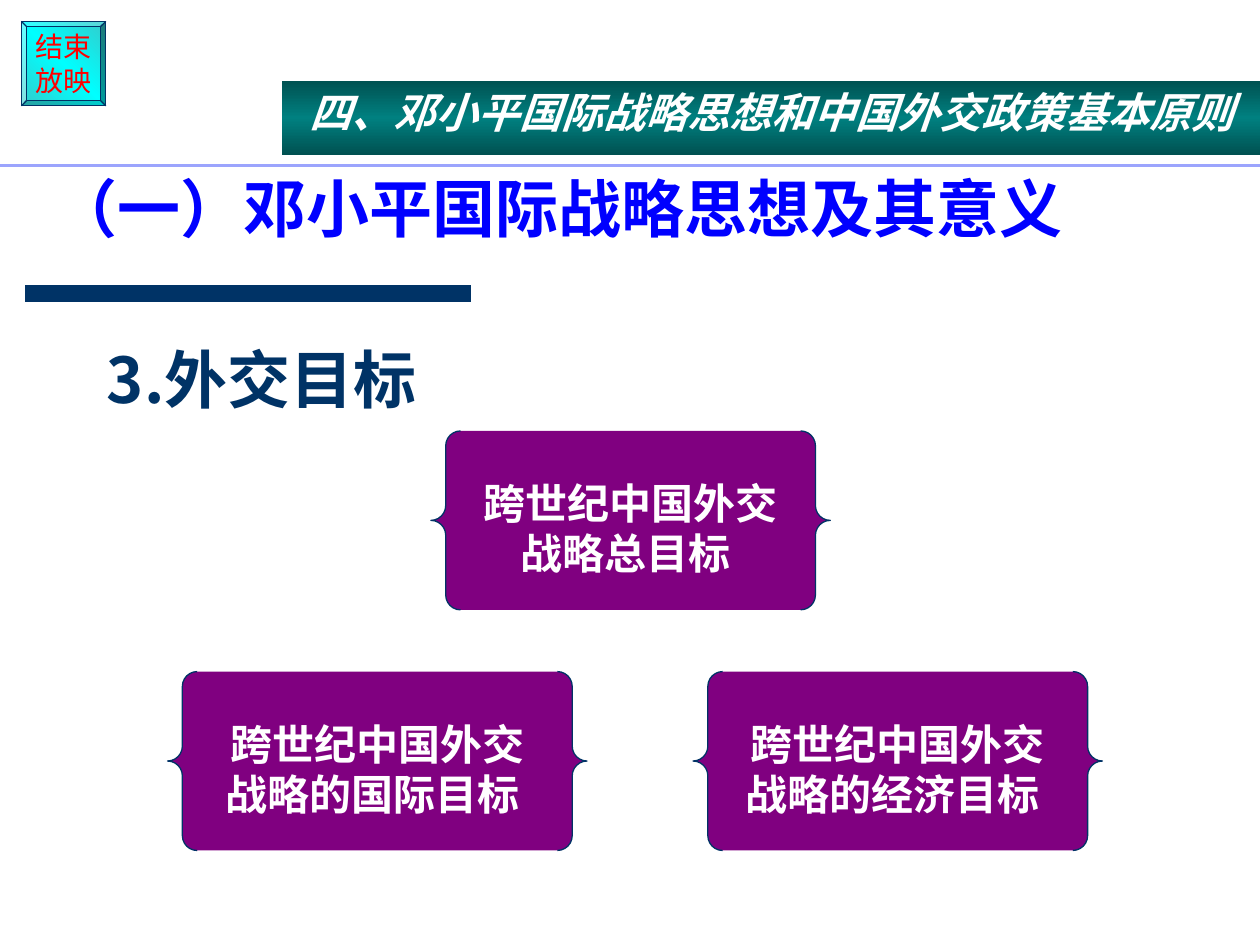
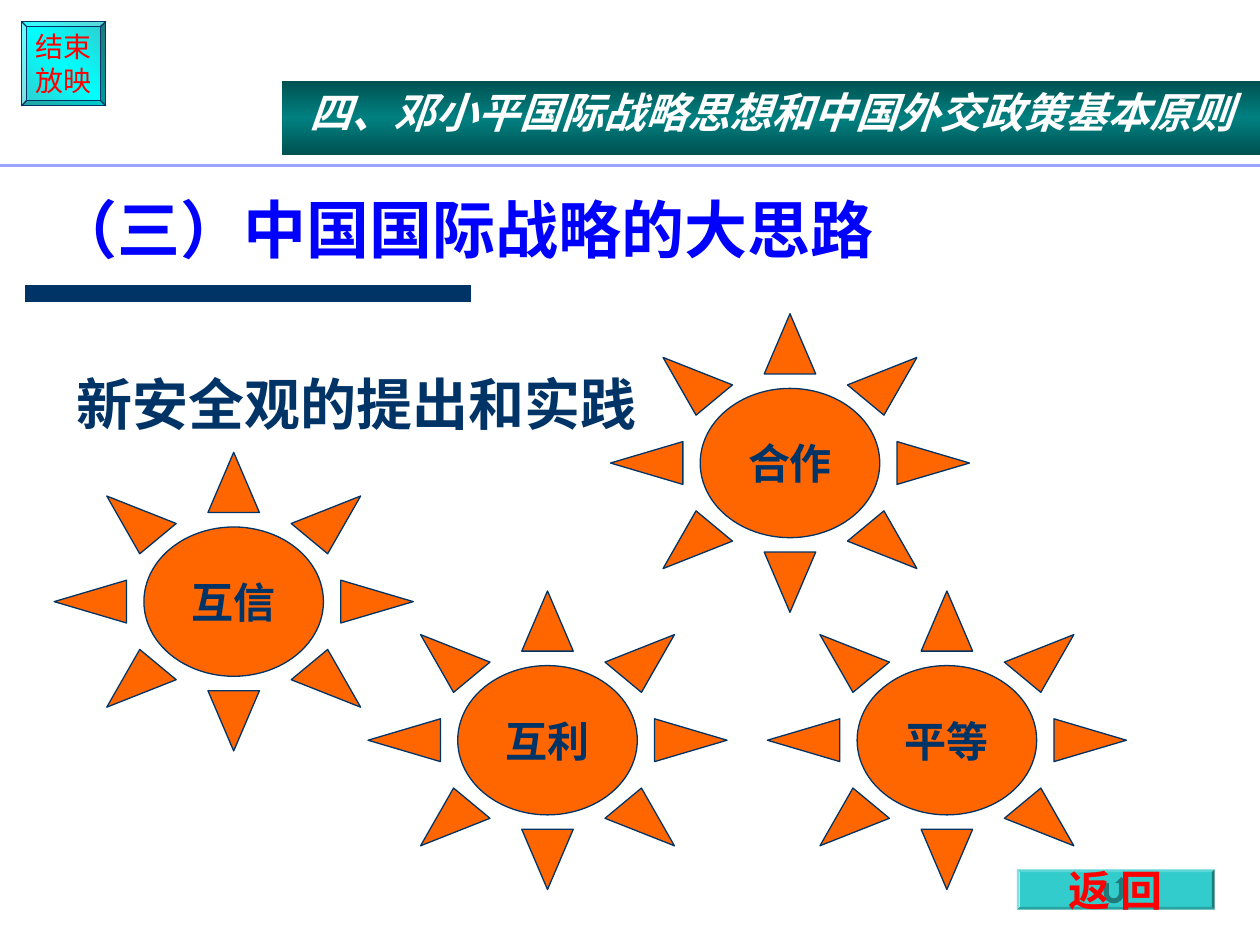
from copy import deepcopy
from math import cos, pi, sin

from lxml import etree
from pptx import Presentation
from pptx.dml.color import RGBColor
from pptx.enum.shapes import MSO_CONNECTOR, MSO_SHAPE as Shape
from pptx.enum.text import MSO_ANCHOR as Anchor, MSO_AUTO_SIZE as AutoSize, PP_ALIGN as Align
from pptx.oxml.ns import qn
from pptx.util import Inches, Pt

NAVY = RGBColor(0x00, 0x33, 0x66)
BLUE = RGBColor(0x00, 0x00, 0xFF)
RED = RGBColor(0xFF, 0x00, 0x00)
WHITE = RGBColor(0xFF, 0xFF, 0xFF)
PURPLE = RGBColor(0x80, 0x00, 0x80)
ORANGE = RGBColor(0xFF, 0x66, 0x00)
LAVENDER = RGBColor(0x9B, 0xA4, 0xFD)
TEAL = RGBColor(0x00, 0x80, 0x80)
DARK_TEAL = RGBColor(0x00, 0x51, 0x51)
TURQUOISE = RGBColor(0x33, 0xCC, 0xCC)
CYAN = RGBColor(0x00, 0xFF, 0xFF)
ARROW_TEAL = RGBColor(0x1F, 0x7A, 0x7A)

CJK = "Noto Sans CJK SC"
LATIN = "Arial"
WIDTH, HEIGHT = 10, 7.5
CHAPTER = "四、邓小平国际战略思想和中国外交政策基本原则"


def inches(*lengths):
    return [Inches(length) for length in lengths]


def write(frame, lines, size, color, font=CJK, bold=True, italic=False,
          align=Align.CENTER, before=None, spacing=None):
    """Fill a text frame with one paragraph per line."""
    for index, line in enumerate(lines):
        paragraph = frame.paragraphs[0] if index == 0 else frame.add_paragraph()
        paragraph.alignment = align
        if before is not None:
            paragraph.space_before = Pt(before)
        if spacing is not None:
            paragraph.line_spacing = spacing
        run = paragraph.add_run()
        run.text = line
        run.font.name, run.font.size = font, Pt(size)
        run.font.bold, run.font.italic = bold, italic
        run.font.color.rgb = color


def paint(shape, fill, outline=NAVY):
    """Paint with one colour, or with a gradient (edge, middle, angle)."""
    shape.shadow.inherit = False
    if isinstance(fill, RGBColor):
        shape.fill.solid()
        shape.fill.fore_color.rgb = fill
    else:
        paint_gradient(shape, *fill)
    if outline is None:
        shape.line.fill.background()
    else:
        shape.line.color.rgb = outline
        shape.line.width = Pt(0.75)


def paint_gradient(shape, edge, middle, angle):
    """Gradient that runs from the edge colour to the middle one and back."""
    shape.fill.gradient()
    shape.fill.gradient_angle = angle
    first, last = shape.fill.gradient_stops
    first.color.rgb, first.position = middle, 0.5
    last.color.rgb, last.position = edge, 1
    stops = shape.fill._fill._gradFill.find(qn("a:gsLst"))
    start = deepcopy(stops[1])
    start.set("pos", "0")
    stops.insert(0, start)


def add_figure(slide, kind, box, fill, outline=NAVY, adjust=None, wrap=False):
    figure = slide.shapes.add_shape(kind, *inches(*box))
    paint(figure, fill, outline)
    if adjust is not None:
        figure.adjustments[0] = adjust
    frame = figure.text_frame
    frame.word_wrap = wrap
    frame.vertical_anchor = Anchor.MIDDLE
    return figure


def add_rule(slide, left, right, y, color, weight):
    rule = slide.shapes.add_connector(
        MSO_CONNECTOR.STRAIGHT, *inches(left, y, right, y))
    rule.line.color.rgb = color
    rule.line.width = Pt(weight)
    etree.SubElement(rule._element.spPr, qn("a:effectLst"))


def add_frame(deck, heading, heading_top):
    """Slide with the parts that all slides share."""
    slide = deck.slides.add_slide(deck.slide_layouts[5])

    # Section heading
    title = slide.shapes.title
    title.left, title.top, title.width, title.height = inches(
        0.33, heading_top, WIDTH - 0.66, 1.09)
    title.text_frame.vertical_anchor = Anchor.BOTTOM
    title.text_frame.auto_size = AutoSize.NONE
    write(title.text_frame, [heading], 36, BLUE, align=Align.LEFT, spacing=0.9)

    # Rule below the heading and the end-of-show button
    add_rule(slide, 0.2, 3.74, 2.33, NAVY, 10)
    end_button = add_figure(slide, Shape.BEVEL, (0.17, 0.17, 0.67, 0.67),
                            (TURQUOISE, CYAN, 225), adjust=0.06)
    write(end_button.text_frame, ["结束", "放映"], 16, RED, LATIN, bold=False)

    # Chapter band
    add_rule(slide, 0, WIDTH, 1.31, LAVENDER, 1.75)
    band = add_figure(slide, Shape.RECTANGLE, (2.24, 0.64, WIDTH - 2.24, 0.59),
                      (DARK_TEAL, TEAL, 90), outline=None, wrap=True)
    band.text_frame.vertical_anchor = Anchor.TOP
    write(band.text_frame, [CHAPTER], 24, WHITE, LATIN, italic=True, before=15)
    return slide


def add_topic(slide, box, topic, size):
    label = slide.shapes.add_textbox(*inches(*box))
    label.text_frame.word_wrap = True
    label.text_frame.auto_size = AutoSize.SHAPE_TO_FIT_TEXT
    write(label.text_frame, [topic], size, NAVY, align=Align.LEFT, before=size * 0.625)


def add_goals(slide, box, goals):
    """Braced goals: each has its row, its left edge and its width in the box."""
    left, top, row_pitch, height = box
    for row, offset, width, lines in goals:
        goal = add_figure(slide, Shape.DOUBLE_BRACE,
                          (left + offset, top + row * row_pitch, width, height),
                          PURPLE, adjust=0.083)
        write(goal.text_frame, lines, 24, WHITE)


def add_suns(slide, box, principles):
    """Suns of one size, placed by shares of the box."""
    left, top, width, height = box
    for across, down, principle in principles:
        sun = add_figure(slide, Shape.SUN,
                         (left + across * width, top + down * height, 2.85, 2.37),
                         ORANGE, adjust=0.25)
        write(sun.text_frame, [principle], 24, NAVY, LATIN)


def add_return_button(slide, box):
    left, top, width, height = box
    add_figure(slide, Shape.BEVEL, box, TURQUOISE, outline=None, adjust=0.07)

    # Return arrow: a U whose right arm ends in a head
    unit = height / 32
    center, bend = left + width / 2 - 1.5 * unit, top + 19 * unit

    def bow(radius, angles):
        return [(center + radius * unit * cos(a), bend + radius * unit * sin(a))
                for a in angles]

    half_turn = [pi * step / 8 for step in range(9)]
    head = [(4, -8), (1, -8), (6, -13), (11, -8), (8, -8)]
    outline = ([(center + x * unit, bend + y * unit) for x, y in head]
               + bow(8, half_turn)
               + [(center - 8 * unit, bend - 8 * unit), (center - 4 * unit, bend - 8 * unit)]
               + bow(4, half_turn[::-1]))
    points = [inches(*point) for point in outline]
    builder = slide.shapes.build_freeform(*points[0])
    builder.add_line_segments(points[1:], close=True)
    paint(builder.convert_to_shape(), ARROW_TEAL, outline=None)

    # Caption over the arrow
    caption = slide.shapes.add_textbox(*inches(*box))
    caption.text_frame.word_wrap = False
    caption.text_frame.vertical_anchor = Anchor.MIDDLE
    write(caption.text_frame, ["返 回"], 24, RED, LATIN)


def build_goals_slide(deck):
    slide = add_frame(deck, "（一）邓小平国际战略思想及其意义", 0.91)
    add_topic(slide, (0.75, 2.65, 4.17, 0.7), "3.外交目标", 36)
    add_goals(slide, (1.33, 3.42, 1.91, 1.42), [
        (1, 4.17, 3.25, ["跨世纪中国外交", "战略的经济目标 "]),
        (0, 2.09, 3.17, ["跨世纪中国外交", "战略总目标 "]),
        (1, 0, 3.33, ["跨世纪中国外交", "战略的国际目标 "]),
    ])


def build_security_slide(deck):
    slide = add_frame(deck, "（三）中国国际战略的大思路", 1.08)
    add_topic(slide, (0.51, 2.88, 5.43, 0.64), "新安全观的提出和实践", 32)
    add_suns(slide, (0.43, 2.49, 5.66, 2.2), [
        (0, 0.5, "互信"), (0.44, 1, "互利"), (1, 1, "平等"), (0.78, 0, "合作")])
    add_return_button(slide, (8.07, 6.9, 1.57, 0.32))


def main():
    deck = Presentation()
    deck.slide_width, deck.slide_height = inches(WIDTH, HEIGHT)
    build_goals_slide(deck)
    build_security_slide(deck)
    deck.save("out.pptx")


if __name__ == "__main__":
    main()
